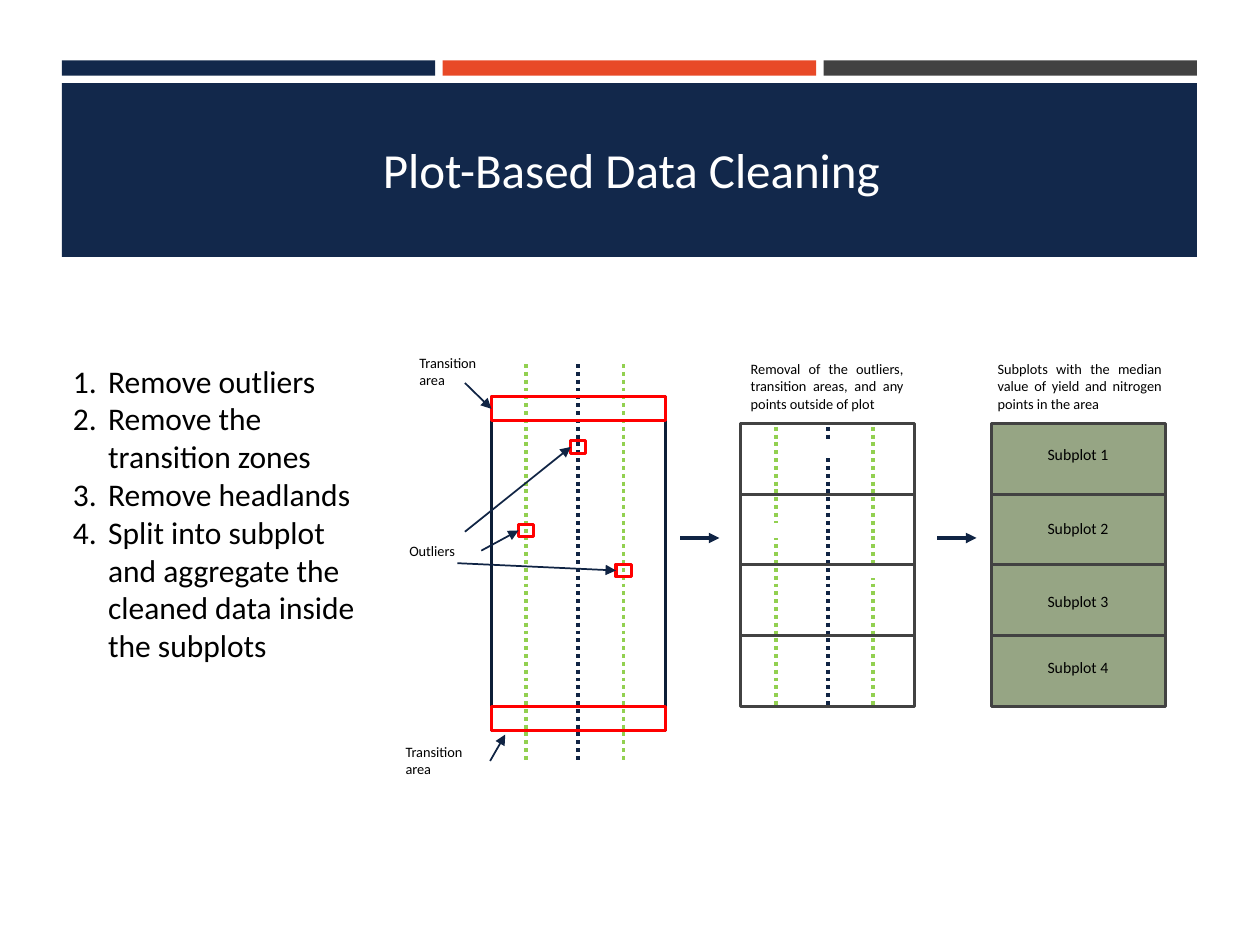
from pptx import Presentation
from pptx.dml.color import RGBColor
from pptx.enum.dml import MSO_LINE_DASH_STYLE as Dash
from pptx.enum.shapes import MSO_CONNECTOR as Link, MSO_SHAPE as Shape
from pptx.enum.text import MSO_ANCHOR as Anchor, MSO_AUTO_SIZE as Fit, PP_ALIGN as Align
from pptx.oxml.xmlchemy import OxmlElement
from pptx.util import Inches, Pt

THEME = {
    "font": "Calibri",
    "navy": "12284B", "orange": "E84927", "grey": "424242", "white": "FFFFFF",
    "black": "000000", "frame": "0D1E37", "ink": "102444", "green": "92D050",
    "red": "FF0000", "sage": "96A584",
    "title": 28, "list": 18, "subplot": 9, "note": 8.2,
    "outline": 1.75, "track": 2.25, "pointer": 1, "flow": 2,
}

TITLE = "Plot-Based Data Cleaning"
STEPS = ["Remove outliers", "Remove the transition zones", "Remove headlands",
         "Split into subplot and aggregate the cleaned data inside the subplots"]
NOTES = [
    ("Transition area", (32.3, 36.8, 7.8, 5.07), Align.LEFT),
    ("Transition area", (31.2, 78, 7.8, 5.07), Align.LEFT),
    ("Outliers", (31.5, 56.67, 6.7, 3.2), Align.LEFT),
    ("Removal of the outliers, transition areas, and any points outside of plot",
     (58.6, 37.47, 14.1, 6.93), Align.JUSTIFY),
    ("Subplots with the median value of yield and nitrogen points in the area",
     (78.2, 37.47, 15, 6.93), Align.JUSTIFY),
]
SUBPLOTS = [("Subplot 1", 46.4), ("Subplot 2", 54.27), ("Subplot 3", 62), ("Subplot 4", 68.93)]

BANNER = {"left": 4.9, "width": 90.1, "gap": 0.6}
BAR_COLORS = ["navy", "orange", "grey"]
PANEL = {"top": 42, "width": 13.8, "height": 35.33, "band": 2.53}
PANEL_LEFTS = {"raw": 39, "cleaned": 58.8, "subplots": 78.7}
TRACKS = [(0.5, "ink"), (0.76, "green"), (0.2, "green")]
TRACK_ROWS = (38.53, 80.67)
OUTLIERS = [(0.5, 0.15), (0.2, 0.4), (0.76, 0.52)]
OUTLIER_SIZE = (1.2, 1.33)
OUTLIER_STARTS = [(36.9, 56.27), (38.2, 58.27), (36.3, 59.6)]
SUBPLOT_ROWS = {"top": 44.8, "height": 7.49}
MARGIN_MASKS = [(58.8, 76.27, 13.8, 6.53), (58.6, 35.87, 13.8, 6.53)]
FLOWS = [54, 74.4]

deck = Presentation()
deck.slide_width, deck.slide_height = Inches(10), Inches(7.5)
page = deck.slides.add_slide(deck.slide_layouts[6])


def assign(target, values):
    for name, value in values.items():
        setattr(target, name, value)


def color(name):
    return RGBColor.from_string(THEME[name])


def across(share):
    return round(deck.slide_width * share / 100)


def down(share):
    return round(deck.slide_height * share / 100)


def place(area):
    left, top, width, height = area
    return across(left), down(top), across(width), down(height)


def rectangle(area, fill=None, line=None):
    box = page.shapes.add_shape(Shape.RECTANGLE, *place(area))
    box.shadow.inherit = False
    for paint, name in ((box.fill, fill), (box.line.fill, line)):
        if name:
            paint.solid()
            paint.fore_color.rgb = color(name)
        else:
            paint.background()
    if line:
        box.line.width = Pt(THEME["outline"])
    return box


def connect(start, end, weight, ink="ink", arrow=True, target=None):
    link = page.shapes.add_connector(
        Link.STRAIGHT, across(start[0]), down(start[1]), across(end[0]), down(end[1]))
    link.line.color.rgb = color(ink)
    link.line.width = Pt(THEME[weight])
    if arrow:
        tip = OxmlElement("a:tailEnd")
        tip.set("type", "triangle")
        link.line.fill
        link.line._get_or_add_ln().append(tip)
    else:
        link.line.dash_style = Dash.ROUND_DOT
    link._element.spPr.append(OxmlElement("a:effectLst"))
    if target is not None:
        link.end_connect(target, 1)


def write(lines, area, size, align=Align.LEFT, ink="black", numbered=False, **frame_format):
    frame = page.shapes.add_textbox(*place(area)).text_frame
    assign(frame, {"word_wrap": True, "auto_size": Fit.NONE, **frame_format})
    for index, line in enumerate(lines):
        para = frame.add_paragraph() if index else frame.paragraphs[0]
        para.alignment = align
        if numbered:
            props = para._p.get_or_add_pPr()
            props.set("marL", str(Inches(0.28)))
            props.set("indent", str(-Inches(0.28)))
            number = OxmlElement("a:buAutoNum")
            number.set("type", "arabicPeriod")
            props.append(number)
        span = para.add_run()
        span.text = line
        assign(span.font, {"name": THEME["font"], "size": Pt(THEME[size])})
        span.font.color.rgb = color(ink)


def draw_banner():
    left, width, gap = BANNER.values()
    bar = (width - gap * (len(BAR_COLORS) - 1)) / len(BAR_COLORS)
    for index, fill in enumerate(BAR_COLORS):
        rectangle((left + index * (bar + gap), 6.4, bar, 1.6), fill)
    rectangle((left, 8.8, width, 18.4), "navy")
    write([TITLE], (6.4, 10, 87.4, 15.73), "title", Align.CENTER, "white",
          vertical_anchor=Anchor.MIDDLE)


def draw_points(left, fill, line):
    top, width, height, band = PANEL.values()
    for share, ink in TRACKS:
        column = left + share * width
        connect((column, TRACK_ROWS[0]), (column, TRACK_ROWS[1]), "track", ink, arrow=False)
    bands = [rectangle((left, row, width, band), fill, line)
             for row in (top, top + height - band)]
    wide, tall = OUTLIER_SIZE
    marks = [rectangle((left + x * width - wide / 2, top + y * height - tall / 2, wide, tall),
                       fill, line) for x, y in OUTLIERS]
    return bands, marks


def draw_subplots(left, fill=None):
    top, height = SUBPLOT_ROWS.values()
    for index in range(len(SUBPLOTS)):
        rectangle((left, top + index * height, PANEL["width"], height), fill, "grey")


draw_banner()
write(STEPS, (4.8, 34.93, 25.8, 36.4), "list", numbered=True, margin_top=Inches(0.25))

raw = PANEL_LEFTS["raw"]
rectangle((raw, PANEL["top"], PANEL["width"], PANEL["height"]), line="frame")
bands, marks = draw_points(raw, None, "red")
connect((36.9, 40.53), (raw, 43.2), "pointer", target=bands[0])
connect((38.9, 80.53), (40.1, 77.73), "pointer")
for start, mark in zip(OUTLIER_STARTS, marks):
    connect(start, start, "pointer", target=mark)

draw_points(PANEL_LEFTS["cleaned"], "white", "white")
for area in MARGIN_MASKS:
    rectangle(area, "white")
draw_subplots(PANEL_LEFTS["cleaned"])
draw_subplots(PANEL_LEFTS["subplots"], "sage")

for label, row in SUBPLOTS:
    write([label], (79.3, row, 12.5, 3.33), "subplot", Align.CENTER)
for text, area, align in NOTES:
    write([text], area, "note", align)
for left in FLOWS:
    connect((left, 56.93), (left + 3.1, 56.93), "flow")

deck.save("out.pptx")
